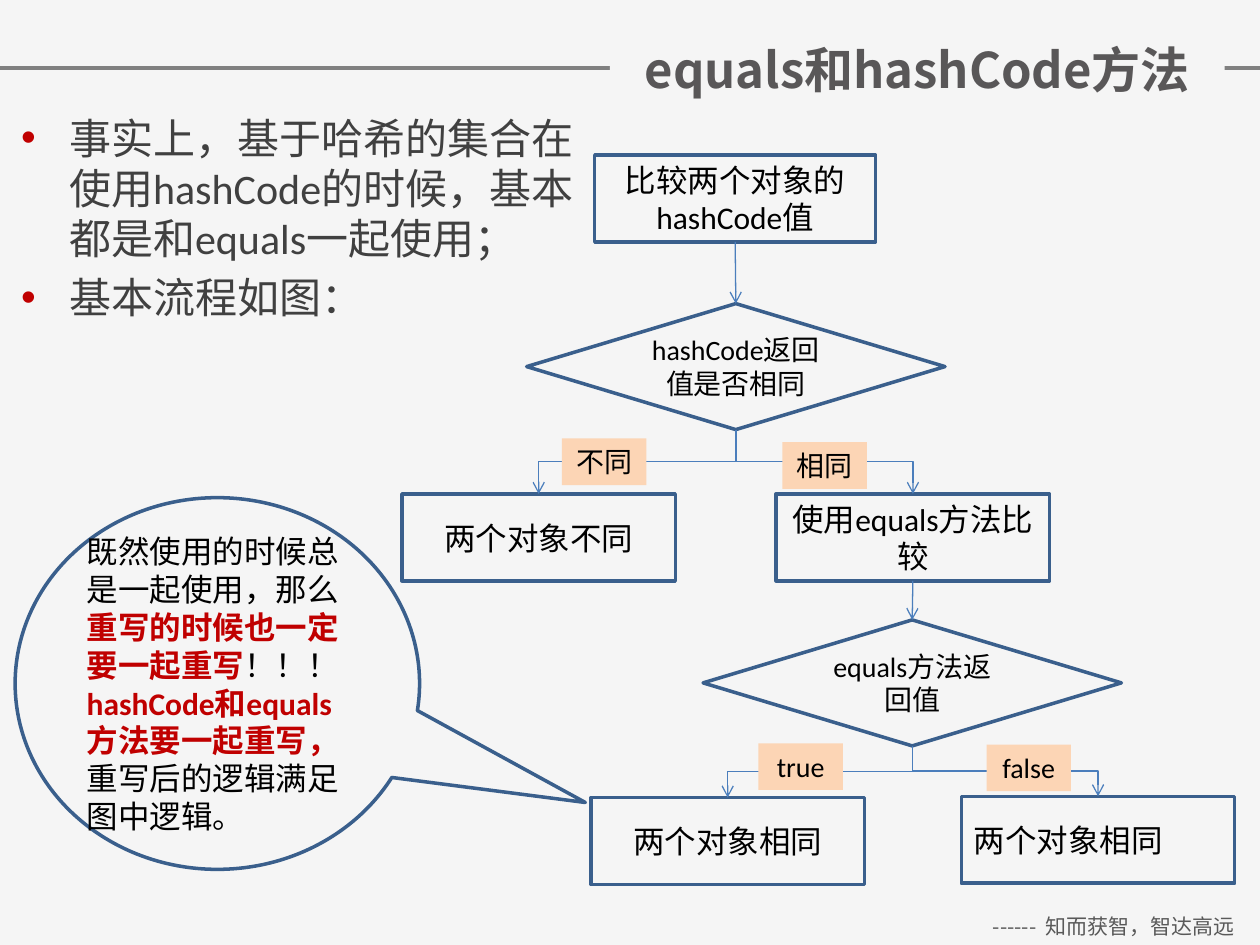
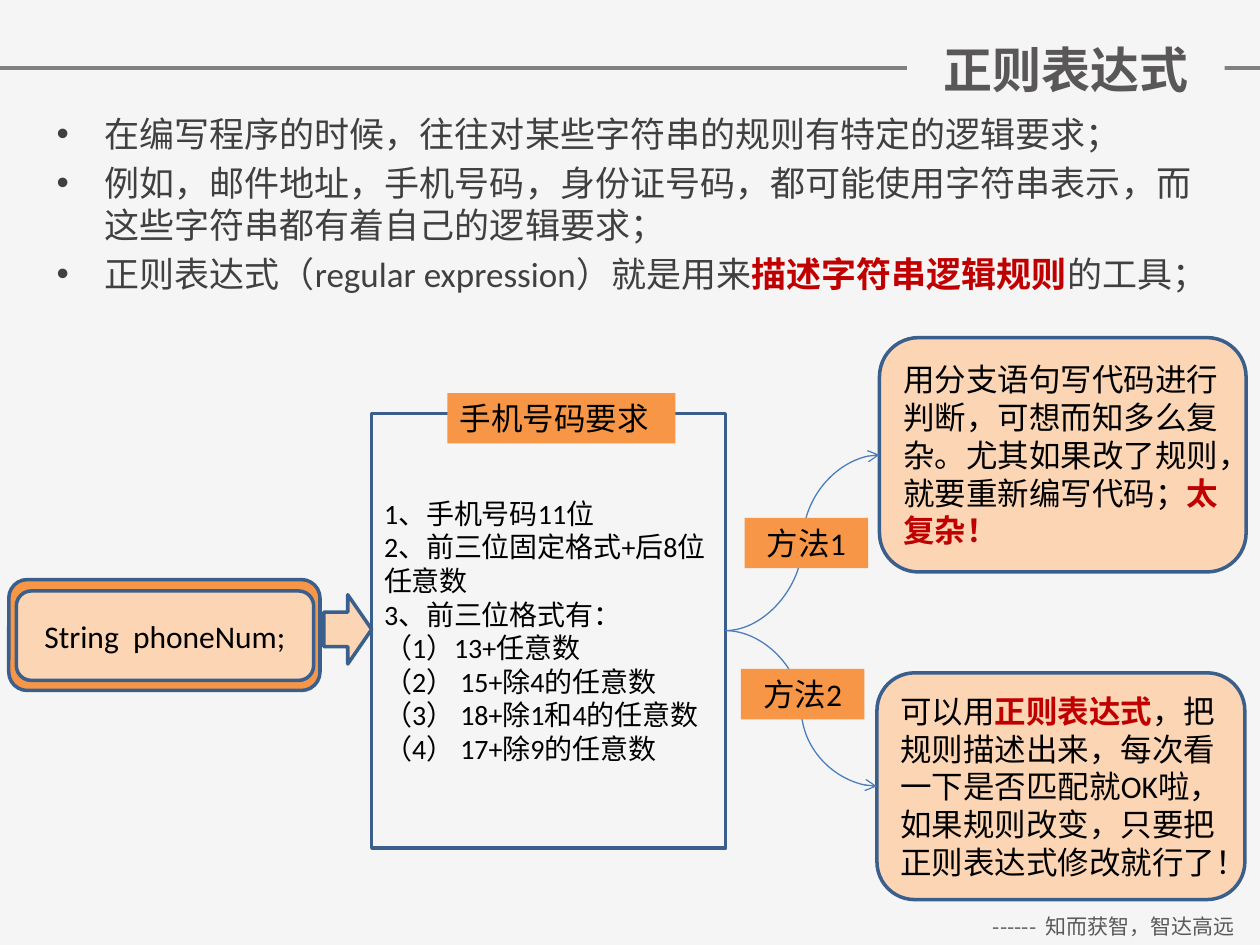
"""Build two slides on hashCode, equals and regular expressions."""
from dataclasses import dataclass

from lxml import etree
from pptx import Presentation
from pptx.dml.color import RGBColor
from pptx.enum.shapes import MSO_CONNECTOR, MSO_SHAPE
from pptx.enum.text import MSO_ANCHOR, MSO_AUTO_SIZE, PP_ALIGN
from pptx.oxml.ns import qn
from pptx.util import Inches, Pt

RECT, ROUND = MSO_SHAPE.RECTANGLE, MSO_SHAPE.ROUNDED_RECTANGLE
DIAMOND, ARROW = MSO_SHAPE.DIAMOND, MSO_SHAPE.RIGHT_ARROW
BUBBLE = MSO_SHAPE.OVAL_CALLOUT
LINE, ELBOW, CURVE = MSO_CONNECTOR.STRAIGHT, MSO_CONNECTOR.ELBOW, MSO_CONNECTOR.CURVE
LEFT, MID = PP_ALIGN.LEFT, PP_ALIGN.CENTER
TOP, CENTRE = MSO_ANCHOR.TOP, MSO_ANCHOR.MIDDLE
FIXED = MSO_AUTO_SIZE.NONE
WIDE, HIGH = Inches(10), Inches(7.5)
COLS, ROWS = 100, 75
TITLE_ONLY = 5


@dataclass(frozen=True)
class Theme:
    """Colours, fonts and type sizes of the deck."""
    back: str = "F5F5F5"
    rule: str = "808080"
    title: str = "595758"
    foot: str = "595959"
    body: str = "404040"
    ink: str = "000000"
    red: str = "C00000"
    edge: str = "3A5F8C"
    link: str = "4B7EBC"
    peach: str = "FCD5B5"
    orange: str = "F79646"
    latin: str = "Calibri"
    asian: str = "Noto Sans CJK SC"
    head: int = 28
    lead: int = 24
    list: int = 20
    base: int = 18
    small: int = 16
    tiny: int = 12


T = Theme()


@dataclass(frozen=True)
class Box:
    """A shape on the grid; stars in the text mark accents."""
    x: float
    y: float
    w: float
    h: float
    text: str = ""
    kind: int = RECT
    fill: str = ""
    edge: str = T.edge
    size: int = T.base
    align: int = MID
    anchor: int = CENTRE
    color: str = T.ink
    font: str = T.latin
    bullet: str = ""

    @property
    def mid(self) -> float:
        """Give the column of the centre."""
        return self.x + self.w / 2

    @property
    def side(self) -> float:
        """Give the row of the centre."""
        return self.y + self.h / 2

    @property
    def end(self) -> float:
        """Give the row of the lower edge."""
        return self.y + self.h


def col(n: float) -> int:
    """Turn columns into a length."""
    return int(WIDE * n / COLS)


def row(n: float) -> int:
    """Turn rows into a length."""
    return int(HIGH * n / ROWS)


def rgb(code: str) -> RGBColor:
    """Turn a hex code into a colour."""
    return RGBColor.from_string(code)


def mark(para, box: Box) -> None:
    """Give a paragraph its hanging bullet."""
    para.space_before = Pt(box.size * 0.2)
    props = para._p.get_or_add_pPr()
    props.set("marL", str(Inches(0.38)))
    props.set("indent", str(-Inches(0.38)))
    tint = etree.SubElement(props, qn("a:buClr"))
    etree.SubElement(tint, qn("a:srgbClr"), val=box.bullet)
    etree.SubElement(props, qn("a:buFont"), typeface="Arial")
    etree.SubElement(props, qn("a:buChar"), char="•")


def write(frame, box: Box, bold: bool = False) -> None:
    """Fill a text frame with the paragraphs of a box."""
    frame.word_wrap = not bold
    frame.auto_size = FIXED
    frame.vertical_anchor = box.anchor
    for i, line in enumerate(box.text.split("\n")):
        para = frame.add_paragraph() if i else frame.paragraphs[0]
        para.alignment = box.align
        if box.bullet:
            mark(para, box)
        font = para.font
        font.size, font.name, font.bold = Pt(box.size), box.font, bold
        font.color.rgb = rgb(box.color)
        base = para._p.pPr.find(qn("a:defRPr"))
        etree.SubElement(base, qn("a:ea"), typeface=T.asian)
        for j, part in enumerate(line.split("*")):
            if part:
                run = para.add_run()
                run.text = part
                if j % 2:
                    run.font.bold = True
                    run.font.color.rgb = rgb(T.red)


def paint(shape, box: Box) -> None:
    """Set fill and outline, or clear them."""
    if box.fill:
        shape.fill.solid()
        shape.fill.fore_color.rgb = rgb(box.fill)
    else:
        shape.fill.background()
    if box.edge:
        shape.line.color.rgb = rgb(box.edge)
        shape.line.width = Pt(2)
    else:
        shape.line.fill.background()


def draw(slide, box: Box):
    """Draw one box with its text."""
    shape = slide.shapes.add_shape(box.kind, col(box.x), row(box.y), col(box.w), row(box.h))
    shape.shadow.inherit = False
    paint(shape, box)
    if box.text:
        write(shape.text_frame, box)
    return shape


def join(slide, kind: int, x: float, y: float, x2: float, y2: float,
         color: str = T.link, width: float = 0.75, tip: bool = True):
    """Draw a connector between two grid points."""
    wire = slide.shapes.add_connector(kind, col(x), row(y), col(x2), row(y2))
    wire.line.color.rgb = rgb(color)
    wire.line.width = Pt(width)
    props = wire._element.spPr
    if tip:
        etree.SubElement(props.find(qn("a:ln")), qn("a:tailEnd"), type="arrow")
    etree.SubElement(props, qn("a:effectLst"))
    return wire


def flow(slide, a: Box, b: Box) -> None:
    """Lead from the foot of one box to the top of the next."""
    gap, run = b.y - a.end, b.mid - a.mid
    if abs(run) < 1:
        join(slide, LINE, a.mid, a.end, b.mid, b.y)
        return
    x, y = (a.mid + b.mid) / 2, (a.end + b.y) / 2
    sign = -1 if run > 0 else 1
    dx, dy = sign * gap / 2, abs(run) / 2
    wire = join(slide, ELBOW, x - dx, y - dy, x + dx, y + dy)
    turn = 270 if run > 0 else 90
    wire._element.spPr.find(qn("a:xfrm")).set("rot", str(turn * 60000))


def start(deck, text: str, x: float, w: float):
    """Add a slide with rule, footer and title."""
    slide = deck.slides.add_slide(deck.slide_layouts[TITLE_ONLY])
    join(slide, LINE, 0, 5.4, COLS, 5.4, T.rule, 2, False)
    draw(slide, Box(76.8, 72, 23.2, 3, "------  知而获智，智达高远", edge="",
                    size=T.tiny, color=T.foot, font=T.asian, anchor=TOP))
    head = slide.shapes.title
    box = Box(x, 2.6, w, 5.7, text, fill=T.back, edge="", size=T.head,
              color=T.title, font=T.asian)
    head.left, head.top, head.width, head.height = col(x), row(box.y), col(w), row(box.h)
    paint(head, box)
    write(head.text_frame, box, True)
    slide.shapes._spTree.append(head._element)
    return slide


def notes(slide, x: float, w: float, h: float, text: str, size: int, bullet: str) -> None:
    """Add the bullet list under the title."""
    draw(slide, Box(x, 8.4, w, h, text, edge="", size=size, align=LEFT,
                    anchor=TOP, color=T.body, bullet=bullet))


def step(x: float, y: float, text: str, align: int = MID) -> Box:
    """Make a step of the flow chart."""
    return Box(x, y, 21.7, 6.9, text, align=align)


def test(x: float, y: float, text: str) -> Box:
    """Make a decision of the flow chart."""
    return Box(x, y, 33.2, 10, text, DIAMOND, size=T.small)


def hashing(deck) -> None:
    """Build the slide on equals and hashCode."""
    slide = start(deck, "equals和hashCode方法", 48.4, 48.8)
    notes(slide, 0.7, 47.7, 39.8, "事实上，基于哈希的集合在使用hashCode的时候，"
          "基本都是和equals一起使用；\n基本流程如图：", T.lead, T.red)
    first = Box(47.2, 12.3, 22.3, 6.9, "比较两个对象的hashCode值")
    code = test(41.8, 24.1, "hashCode返回值是否相同")
    differ = step(31.9, 39.2, "两个对象不同")
    check = step(61.6, 39.2, "使用equals方法比较")
    value = test(55.8, 49.2, "equals方法返回值")
    same = step(46.9, 63.3, "两个对象相同")
    other = step(76.3, 63.2, "两个对象相同", LEFT)
    for box in (first, code, differ, check, value, same, other):
        draw(slide, box)
    for a, b in ((first, code), (code, differ), (code, check),
                 (check, value), (value, same), (value, other)):
        flow(slide, a, b)
    for x, y, text in ((44.6, 34.8, "不同"), (62.1, 35.1, "相同"),
                       (60.2, 59, "true"), (78.3, 59.1, "false")):
        draw(slide, Box(x, y, 6.7, 3.7, text, fill=T.peach, edge="",
                        size=T.small, anchor=TOP))
    bubble = draw(slide, Box(
        1.2, 39.5, 32.1, 29.5, "既然使用的时候总是一起使用，那么*重写的时候也一定要一起重写*！！！"
        "*hashCode和equals方法要一起重写，*重写后的逻辑满足图中逻辑。", BUBBLE, align=LEFT))
    bubble.adjustments[0], bubble.adjustments[1] = 0.91, 0.32


def regex(deck) -> None:
    """Build the slide on regular expressions."""
    slide = start(deck, "正则表达式", 72, 25.2)
    notes(slide, 3.5, 93.2, 19.6, "在编写程序的时候，往往对某些字符串的规则有特定的逻辑要求；\n"
          "例如，邮件地址，手机号码，身份证号码，都可能使用字符串表示，而这些字符串都有着自己的逻辑要求；\n"
          "正则表达式（regular expression）就是用来*描述字符串逻辑规则*的工具；", T.list, T.body)
    rules = Box(29.5, 32.8, 28.1, 34.5, "1、手机号码11位\n2、前三位固定格式+后8位任意数\n"
                "3、前三位格式有：\n（1）13+任意数\n（2） 15+除4的任意数\n"
                "（3） 18+除1和4的任意数\n（4） 17+除9的任意数", size=T.small, align=LEFT)
    hard = Box(69.8, 26.8, 29.1, 18.6, "用分支语句写代码进行判断，可想而知多么复杂。"
               "尤其如果改了规则，就要重新编写代码；*太复杂！*", ROUND, T.peach, align=LEFT)
    easy = Box(69.6, 53.4, 29.2, 18, "可以用*正则表达式*，把规则描述出来，每次看一下是否匹配就OK啦，"
               "如果规则改变，只要把正则表达式修改就行了！", ROUND, T.peach, align=LEFT)
    label = Box(35.5, 31.2, 18.1, 4, "手机号码要求", fill=T.orange, edge="",
                align=LEFT, anchor=TOP)
    frame = Box(0.7, 46, 24.7, 8.8, kind=ROUND, fill=T.orange)
    phone = Box(1.3, 46.9, 23.6, 7.1, "String  phoneNum;", ROUND, T.peach)
    arrow = Box(25.7, 47.2, 3.8, 5.5, kind=ARROW, fill=T.peach)
    for box in (rules, label, frame, phone, arrow, hard, easy):
        draw(slide, box)
    for box in (hard, easy):
        join(slide, CURVE, rules.x + rules.w, rules.side, box.x, box.side)
    for x, y, text in ((59.1, 41.1, "方法1"), (58.8, 53.1, "方法2")):
        draw(slide, Box(x, y, 9.8, 4, text, fill=T.orange, edge="", anchor=TOP))


def main() -> None:
    """Build and save the deck."""
    deck = Presentation()
    deck.slide_width, deck.slide_height = WIDE, HIGH
    fill = deck.slide_master.background.fill
    fill.solid()
    fill.fore_color.rgb = rgb(T.back)
    hashing(deck)
    regex(deck)
    deck.save("out.pptx")


if __name__ == "__main__":
    main()
